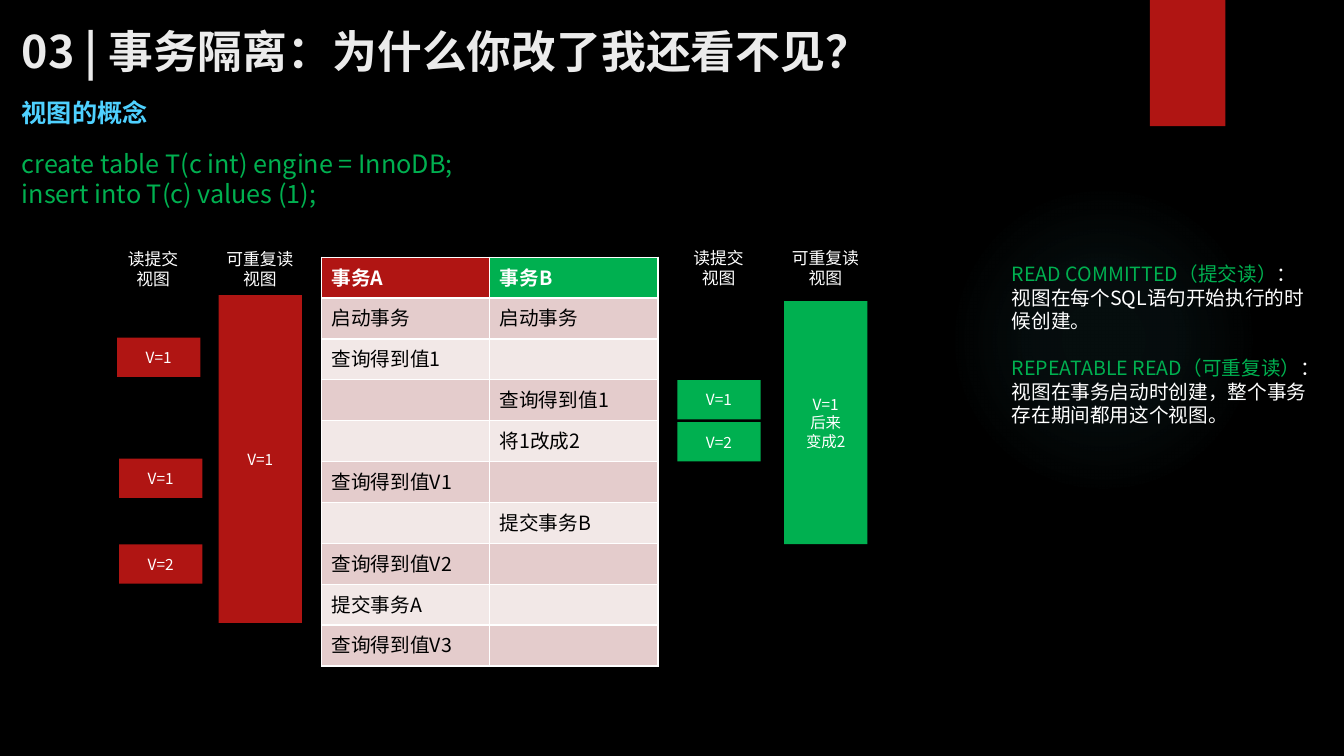
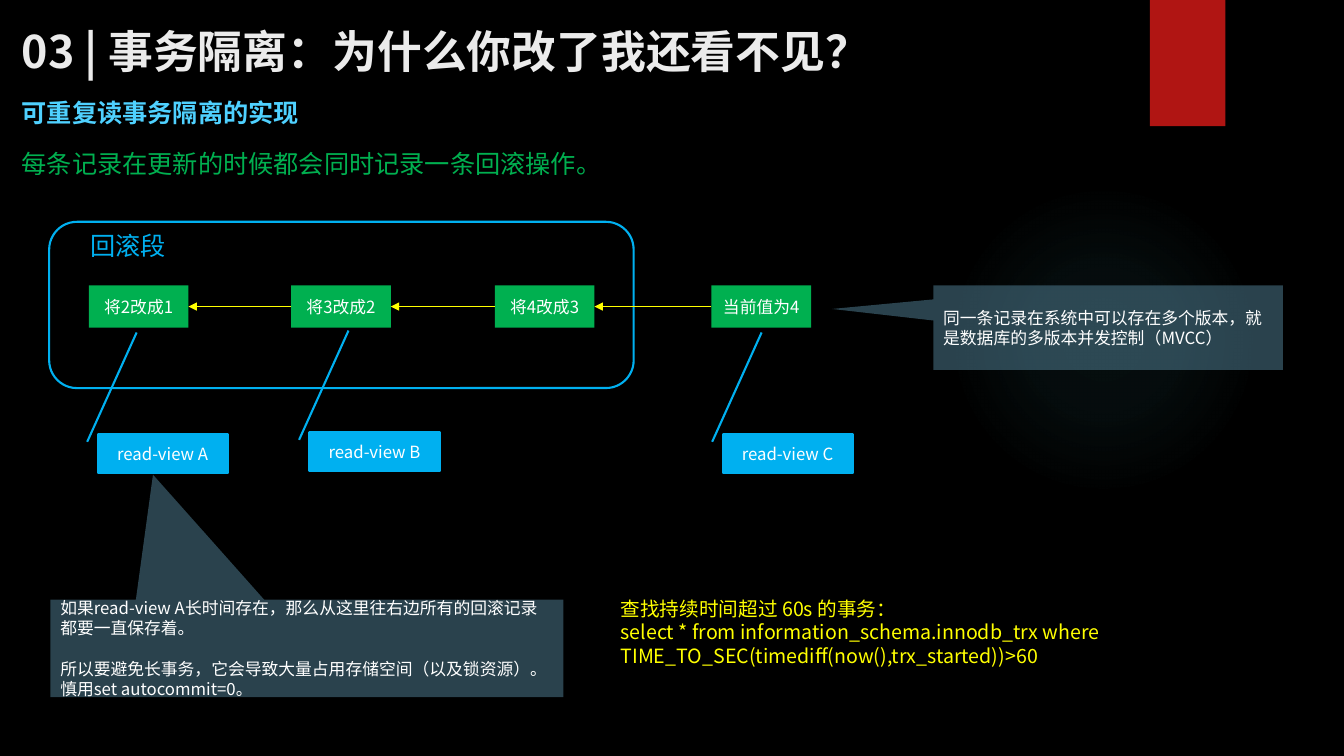
import pptx
import pptx.util
import pptx.dml.color
import pptx.enum.shapes
import pptx.enum.text
import pptx.oxml
import pptx.oxml.ns
from lxml import etree

Cm, Pt = pptx.util.Cm, pptx.util.Pt
Kind = pptx.enum.shapes.MSO_SHAPE
Align = pptx.enum.text.PP_ALIGN
Anchor = pptx.enum.text.MSO_ANCHOR

FONT = "Noto Sans CJK SC"
HUES = {
    "black": "000000", "white": "FFFFFF", "title": "EBEBEB", "sky": "4FD1FF",
    "blue": "00B0F0", "red": "B01513", "green": "00B050", "yellow": "FFFF00",
    "slate": "54849A", "glow": "50B9C1", "odd": "E4CCCC", "even": "F2E8E7",
}

# Content; all lengths in centimetres
TITLE = "03 | 事务隔离：为什么你改了我还看不见？"

VIEWS = ("视图的概念", ["create table T(c int) engine = InnoDB;",
                   "insert into T(c) values (1);"])
STEPS = [
    ("事务A", "事务B"), ("启动事务", "启动事务"), ("查询得到值1", ""),
    ("", "查询得到值1"), ("", "将1改成2"), ("查询得到值V1", ""),
    ("", "提交事务B"), ("查询得到值V2", ""), ("提交事务A", ""),
    ("查询得到值V3", ""),
]
HEADS = [(2.69, 6.15, "读提交"), (5.38, 6.15, "可重复读"),
         (16.94, 6.12, "读提交"), (19.63, 6.12, "可重复读")]
BARS = [  # left, top, height, colour, lines
    (5.51, 7.44, 8.26, "red", ["V=1"]),
    (2.95, 8.51, 0.99, "red", ["V=1"]),
    (3, 11.56, 0.99, "red", ["V=1"]),
    (3, 13.72, 0.99, "red", ["V=2"]),
    (17.07, 9.58, 0.99, "green", ["V=1"]),
    (17.07, 10.64, 0.99, "green", ["V=2"]),
    (19.76, 7.59, 6.12, "green", ["V=1", "后来", "变成2"]),
]
LEVELS = [
    [("READ COMMITTED（提交读）", "green"), ("：", "white")],
    "视图在每个SQL语句开始执行的时候创建。",
    [("REPEATABLE READ（可重复读）", "green"), ("：", "white")],
    "视图在事务启动时创建，整个事务存在期间都用这个视图。",
]

UNDO = ("可重复读事务隔离的实现", ["每条记录在更新的时候都会同时记录一条回滚操作。"])
CHAIN = [(2.24, "将2改成1"), (7.34, "将3改成2"),
         (12.47, "将4改成3"), (17.93, "当前值为4")]
READS = [(2.46, 10.95, "A"), (7.8, 10.9, "B"), (18.21, 10.95, "C")]
NOTES = [  # box, tip, lines, line that follows a gap
    ((1.27, 15.11, 12.93, 2.46), (-0.3, -1.78),
     ["如果read-view A长时间存在，那么从这里往右边所有的回滚记录都要一直保存着。",
      "所以要避免长事务，它会导致大量占用存储空间（以及锁资源）。",
      "慎用set autocommit=0。"], 1),
    ((23.52, 7.19, 8.81, 2.13), (-0.79, -0.22),
     ["同一条记录在系统中可以存在多个版本，就是数据库的多版本并发控制（MVCC）"], None),
]
QUERY = ["查找持续时间超过 60s 的事务：",
         "select * from information_schema.innodb_trx where "
         "TIME_TO_SEC(timediff(now(),trx_started))>60"]


def rgb(hue):
    return pptx.dml.color.RGBColor.from_string(HUES[hue])


def sub(node, tag, **attrs):
    return etree.SubElement(node, pptx.oxml.ns.qn(tag), **attrs)


def style(font, size, hue, bold=False):
    font.name, font.size, font.bold = FONT, Pt(size), bold
    font.color.rgb = rgb(hue)


def write(frame, lines, size, hue, bold=False, align=Align.LEFT, gap=None):
    """Fill a frame; a line is a string or a list of (text, colour) runs."""
    for i, line in enumerate(lines):
        para = frame.paragraphs[0] if i == 0 else frame.add_paragraph()
        para.alignment = align
        style(para.font, size, hue, bold)
        if i == gap:
            para.space_before = Pt(size * 1.2)
        if isinstance(line, str):
            para.add_run().text = line
            continue
        for text, tint in line:
            run = para.add_run()
            run.text = text
            run.font.color.rgb = rgb(tint)


def label(slide, box, lines, size, hue, wrap=True, anchor=Anchor.TOP, **opts):
    frame = slide.shapes.add_textbox(*map(Cm, box)).text_frame
    frame.word_wrap, frame.vertical_anchor = wrap, anchor
    write(frame, lines, size, hue, **opts)


def block(slide, kind, box, fill=None, edge=None, adjust=()):
    shape = slide.shapes.add_shape(kind, *map(Cm, box))
    shape.shadow.inherit = False
    for i, value in enumerate(adjust):
        shape.adjustments[i] = value
    if fill:
        shape.fill.solid()
        shape.fill.fore_color.rgb = rgb(fill)
    else:
        shape.fill.background()
    if edge:
        shape.line.color.rgb, shape.line.width = rgb(edge), Pt(1.5)
    else:
        shape.line.fill.background()
    shape.text_frame.vertical_anchor = Anchor.MIDDLE
    return shape


def base(deck, topic, lead):
    """Start a slide with the shared backdrop, band and headings."""
    slide = deck.slides.add_slide(deck.slide_layouts[6])
    back = slide.background.fill
    back.solid()
    back.fore_color.rgb = rgb("black")
    # Soft round glow
    glow = block(slide, Kind.OVAL, (23.9, 4.65, 7.82, 7.82))
    glow.fill.gradient()
    grad = glow.fill._xPr.find(pptx.oxml.ns.qn("a:gradFill"))
    for child in list(grad):
        grad.remove(child)
    stops = sub(grad, "a:gsLst")
    for pos, alpha in ((0, 7), (36, 6), (69, 0)):
        stop = sub(stops, "a:gs", pos=str(pos * 1000))
        tint = sub(stop, "a:srgbClr", val=HUES["glow"])
        sub(tint, "a:alpha", val=str(alpha * 1000))
    ring = sub(grad, "a:path", path="circle")
    sub(ring, "a:fillToRect", **dict.fromkeys("ltrb", "50000"))
    # Band and headings
    block(slide, Kind.RECTANGLE, (28.98, 0, 1.9, 3.18), "red")
    label(slide, (0.3, 0.43, 26.14, 1.68), [TITLE], 32, "title",
          bold=True, anchor=Anchor.MIDDLE)
    label(slide, (0.3, 2.34, 7.6, 1.02), [topic], 18, "sky", bold=True, wrap=False)
    label(slide, (0.3, 3.61, 15.3, 1.02), lead, 18, "green", wrap=False)
    return slide


def views(deck):
    slide = base(deck, *VIEWS)
    # Steps of both transactions
    wide, high = 4.24, 1.03
    size = (wide * 2, high * len(STEPS))
    table = slide.shapes.add_table(len(STEPS), 2, *map(Cm, (8.1, 6.48) + size)).table
    for r, row in enumerate(STEPS):
        for c, text in enumerate(row):
            cell = table.cell(r, c)
            tint = ("odd" if r % 2 else "even") if r else ("red", "green")[c]
            cell.fill.solid()
            cell.fill.fore_color.rgb = rgb(tint)
            write(cell.text_frame, [text], 14, "black" if r else "white", bold=r == 0)
    # Views seen by each side
    for x, y, name in HEADS:
        label(slide, (x, y, 2.34, 1.27), [name, "视图"], 12, "white", align=Align.CENTER)
    for x, y, tall, hue, lines in BARS:
        bar = block(slide, Kind.RECTANGLE, (x, y, 2.1, tall), hue)
        write(bar.text_frame, lines, 11, "white", align=Align.CENTER)
    label(slide, (25.25, 6.48, 8.08, 4.45), LEVELS, 14, "white", gap=2)


def undo(deck):
    slide = base(deck, *UNDO)
    # Rollback segment
    block(slide, Kind.ROUNDED_RECTANGLE, (1.24, 5.59, 14.73, 4.19), edge="blue")
    label(slide, (2.03, 5.69, 2.44, 1.02), ["回滚段"], 18, "blue", wrap=False)
    # Chain of versions
    wide, high, top = 2.51, 1.07, 7.19
    for x, text in CHAIN:
        box = block(slide, Kind.RECTANGLE, (x, top, wide, high), "green")
        write(box.text_frame, [text], 12, "white", align=Align.CENTER)
    mid = Cm(top + high / 2)
    for (left, _), (right, _) in zip(CHAIN, CHAIN[1:]):
        link = slide.shapes.add_connector(
            pptx.enum.shapes.MSO_CONNECTOR.STRAIGHT, Cm(right), mid, Cm(left + wide), mid)
        link.line.color.rgb, link.line.width = rgb("yellow"), Pt(0.75)
        sub(link.line._get_or_add_ln(), "a:tailEnd", type="triangle")
        sub(link._element.spPr, "a:effectLst")
    # Read views
    for x, y, name in READS:
        view = block(slide, Kind.LINE_CALLOUT_1, (x, y, 3.28, 0.97), "blue", "blue",
                     (0.19, -0.08, -2.65, 0.3))
        write(view.text_frame, ["read-view " + name], 12, "white", align=Align.CENTER)
    # Remarks
    for box, tip, lines, gap in NOTES:
        note = block(slide, Kind.RECTANGULAR_CALLOUT, box, "slate", adjust=tip)
        tint = note.fill._xPr.find(pptx.oxml.ns.qn("a:solidFill"))[0]
        sub(tint, "a:alpha", val="50000")
        write(note.text_frame, lines, 12, "white", gap=gap)
    label(slide, (15.39, 14.91, 16.94, 2.06), QUERY, 14, "yellow")


def main():
    deck = pptx.Presentation()
    deck.slide_width, deck.slide_height = Cm(33.87), Cm(19.05)
    views(deck)
    undo(deck)
    deck.save("out.pptx")


if __name__ == "__main__":
    main()
